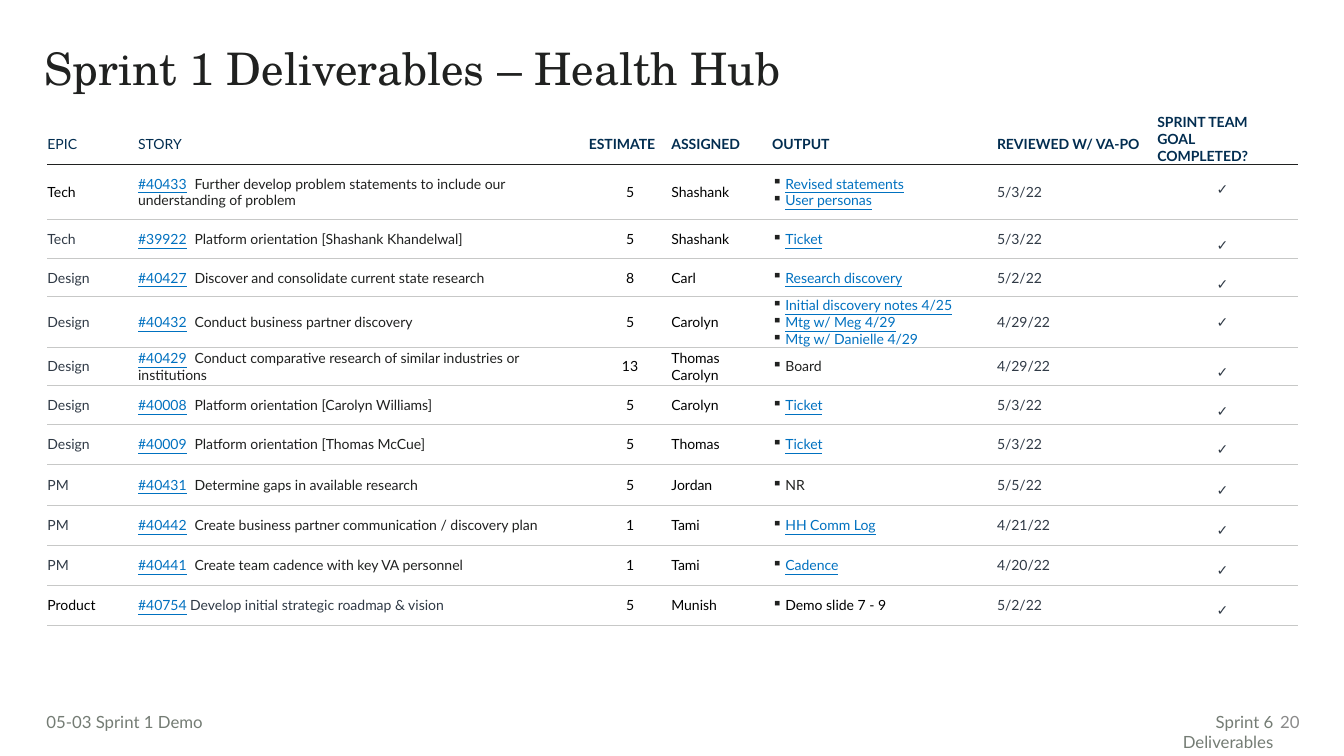
"""Build the Sprint 1 deliverables slide with its story table."""
from dataclasses import dataclass

from pptx import Presentation
from pptx.dml.color import RGBColor
from pptx.enum.text import MSO_ANCHOR, MSO_AUTO_SIZE, PP_ALIGN
from pptx.oxml import parse_xml
from pptx.oxml.ns import nsdecls, qn
from pptx.util import Emu, Inches, Pt

WIDE, HIGH = Inches(13.33), Inches(7.5)
HUES = {"ink": "202120", "navy": "022D50", "link": "0071C0", "black": "000000",
        "slate": "303A46", "rule": "C7C8C7", "foot": "747C74", "page": "8A8A8A"}
SANS, SERIF = "Lato", "TeX Gyre Schola"
PLAIN = "{2D5ABB26-0587-4C30-8999-92F81FD0307C}"


@dataclass(frozen=True)
class Span:
    text: str
    hue: str
    line: bool = False


@dataclass(frozen=True)
class Column:
    head: str
    share: float
    bold: bool = True
    right: float = 0
    top: float = 0
    align: PP_ALIGN = PP_ALIGN.LEFT


@dataclass(frozen=True)
class Story:
    epic: str
    tag: str
    task: str
    points: str
    owner: str
    output: tuple[str, ...]
    date: str
    share: float = 5.33
    linked: bool = True
    epic_hue: str = "slate"
    task_hue: str = "ink"
    out_hue: str = "ink"
    gap: str = "\t"


@dataclass(frozen=True)
class Label:
    span: Span
    left: float
    top: float
    width: float
    height: float
    align: PP_ALIGN = PP_ALIGN.RIGHT
    inset: float = 0.75
    anchor: MSO_ANCHOR = MSO_ANCHOR.TOP


COLUMNS = [
    Column("EPIC", 6.75, bold=False, right=3),
    Column("STORY", 33.53, bold=False),
    Column("ESTIMATE", 6.15, align=PP_ALIGN.CENTER),
    Column("ASSIGNED", 7.5, right=3),
    Column("OUTPUT", 16.73),
    Column("REVIEWED W/ VA-PO", 11.18),
    Column("SPRINT TEAM GOAL COMPLETED?", 11.18, top=2.22, align=PP_ALIGN.CENTER),
]
STORIES = [
    Story("Tech", "#40433", "Further develop problem statements to include our understanding of problem",
          "5", "Shashank", ("Revised statements", "User personas"), "5/3/22", 7.33, epic_hue="black"),
    Story("Tech", "#39922", "Platform orientation [Shashank Khandelwal]",
          "5", "Shashank", ("Ticket",), "5/3/22", 5.13),
    Story("Design", "#40427", "Discover and consolidate current state research",
          "8", "Carl", ("Research discovery",), "5/2/22", 5.07),
    Story("Design", "#40432", "Conduct business partner discovery", "5", "Carolyn",
          ("Initial discovery notes 4/25", "Mtg w/ Meg 4/29", "Mtg w/ Danielle 4/29"), "4/29/22", 4.93),
    Story("Design", "#40429", "Conduct comparative research of similar industries or institutions",
          "13", "Thomas Carolyn", ("Board",), "4/29/22", 5.07, linked=False),
    Story("Design", "#40008", "Platform orientation [Carolyn Williams]",
          "5", "Carolyn", ("Ticket",), "5/3/22", 5.13),
    Story("Design", "#40009", "Platform orientation [Thomas McCue]",
          "5", "Thomas", ("Ticket",), "5/3/22"),
    Story("PM", "#40431", "Determine gaps in available research",
          "5", "Jordan", ("NR",), "5/5/22", linked=False),
    Story("PM", "#40442", "Create business partner communication / discovery plan",
          "1", "Tami", ("HH Comm Log",), "4/21/22"),
    Story("PM", "#40441", "Create team cadence with key VA personnel",
          "1", "Tami", ("Cadence",), "4/20/22"),
    Story("Product", "#40754", "Develop initial strategic roadmap & vision",
          "5", "Munish", ("Demo slide 7 - 9",), "5/2/22", linked=False,
          epic_hue="black", task_hue="slate", out_hue="black", gap=" "),
]
LABELS = [
    Label(Span("20", "page"), 94.15, 92.8, 3.3, 5.33, anchor=MSO_ANCHOR.MIDDLE),
    Label(Span("Sprint 6 Deliverables", "foot"), 83.2, 93.47, 12.3, 4),
    Label(Span("05-03 Sprint 1 Demo", "foot"), 3.45, 93.47, 22.36, 4, PP_ALIGN.LEFT, 0),
]


def across(share: float) -> Emu:
    return Emu(round(WIDE * share / 100))


def down(share: float) -> Emu:
    return Emu(round(HIGH * share / 100))


def tint(font, span: Span) -> None:
    font.color.rgb = RGBColor.from_string(HUES[span.hue])
    if span.line:
        font.underline = True


def write(para, spans: list[Span], size: float, face: str = SANS, bold: bool = False) -> None:
    para.font.name, para.font.size, para.font.bold = face, Pt(size), bold
    for span in spans:
        run = para.add_run()
        run.text = span.text
        tint(para.font if len(spans) == 1 else run.font, span)


def mark(para) -> None:
    props = para._p.get_or_add_pPr()
    props.set("marL", str(across(0.98)))
    props.set("indent", str(-across(0.98)))
    props.append(parse_xml(f'<a:buClr {nsdecls("a")}><a:srgbClr val="{HUES["ink"]}"/></a:buClr>'))
    props.append(parse_xml(f'<a:buChar {nsdecls("a")} char="▪"/>'))


def add_stop(para) -> None:
    para._p.get_or_add_pPr().append(parse_xml(
        f'<a:tabLst {nsdecls("a")}><a:tab pos="{across(4.2)}" algn="l"/></a:tabLst>'))


def pad(box, left: float, top: float, right: float, base: float = 0) -> None:
    box.margin_left, box.margin_right = across(left), across(right)
    box.margin_top, box.margin_bottom = down(top), down(base)


def rule(cell, hue: str, width: float) -> None:
    cell.fill.background()
    cell._tc.get_or_add_tcPr().insert(0, parse_xml(
        f'<a:lnB {nsdecls("a")} w="{Pt(width)}"><a:solidFill>'
        f'<a:srgbClr val="{HUES[hue]}"/></a:solidFill></a:lnB>'))


def lines(story: Story) -> list[list[list[Span]]]:
    out_hue = "link" if story.linked else story.out_hue
    return [
        [[Span(story.epic, story.epic_hue)]],
        [[Span(story.tag, "link", True), Span(story.gap + story.task, story.task_hue)]],
        [[Span(story.points, "black")]],
        [[Span(story.owner, "black")]],
        [[Span(item, out_hue, story.linked)] for item in story.output],
        [[Span(story.date, "slate")]],
        [[Span("✓", "slate")]],
    ]


def add_head(cell, column: Column) -> None:
    last = column is COLUMNS[-1]
    pad(cell, 0.75 if last else 0, 0 if last else 1.33,
        0 if column.head in ("OUTPUT", "REVIEWED W/ VA-PO") else 0.75)
    cell.vertical_anchor = MSO_ANCHOR.TOP if last else MSO_ANCHOR.MIDDLE
    write(cell.text_frame.paragraphs[0], [Span(column.head, "navy")], 10, bold=column.bold)
    rule(cell, "ink", 1)


def add_cell(cell, column: Column, paras: list[list[Span]]) -> None:
    pad(cell, 0, column.top, column.right)
    cell.vertical_anchor = MSO_ANCHOR.TOP if column.top else MSO_ANCHOR.MIDDLE
    frame = cell.text_frame
    for at, spans in enumerate(paras):
        para = frame.add_paragraph() if at else frame.paragraphs[0]
        para.alignment = column.align
        if column.head == "OUTPUT":
            mark(para)
        if column.head == "STORY":
            add_stop(para)
        write(para, spans, 10)
    rule(cell, "rule", 0.5)


def add_grid(slide) -> None:
    shares = [5.33] + [story.share for story in STORIES]
    table = slide.shapes.add_table(
        len(shares), len(COLUMNS), across(3.53), down(15.07),
        across(sum(column.share for column in COLUMNS)), down(sum(shares))).table
    table.first_row = table.horz_banding = False
    table._tbl.tblPr.find(qn("a:tableStyleId")).text = PLAIN
    for row, share in zip(table.rows, shares):
        row.height = down(share)
    for x, column in enumerate(COLUMNS):
        table.columns[x].width = across(column.share)
        add_head(table.cell(0, x), column)
        for y, story in enumerate(STORIES, 1):
            add_cell(table.cell(y, x), column, lines(story)[x])


def add_title(slide) -> None:
    title = slide.shapes.title
    title.left, title.top, title.width, title.height = across(2.55), down(5.47), across(93.17), down(10.93)
    frame = title.text_frame
    frame.auto_size, frame.vertical_anchor = MSO_AUTO_SIZE.NONE, MSO_ANCHOR.TOP
    pad(frame, 0.75, 0.67, 0.75, 0.67)
    para = frame.paragraphs[0]
    para.alignment, para.line_spacing = PP_ALIGN.LEFT, 0.9
    write(para, [Span("Sprint 1 Deliverables – Health Hub", "ink")], 32, SERIF)


def add_label(slide, label: Label) -> None:
    frame = slide.shapes.add_textbox(across(label.left), down(label.top),
                                     across(label.width), down(label.height)).text_frame
    frame.word_wrap, frame.vertical_anchor = True, label.anchor
    pad(frame, label.inset, 0.67, 0.75, 0.67)
    frame.paragraphs[0].alignment = label.align
    write(frame.paragraphs[0], [label.span], 12)


def main() -> None:
    deck = Presentation()
    deck.slide_width, deck.slide_height = WIDE, HIGH
    slide = deck.slides.add_slide(deck.slide_layouts[5])
    add_title(slide)
    add_grid(slide)
    for label in LABELS:
        add_label(slide, label)
    deck.save("out.pptx")


if __name__ == "__main__":
    main()
